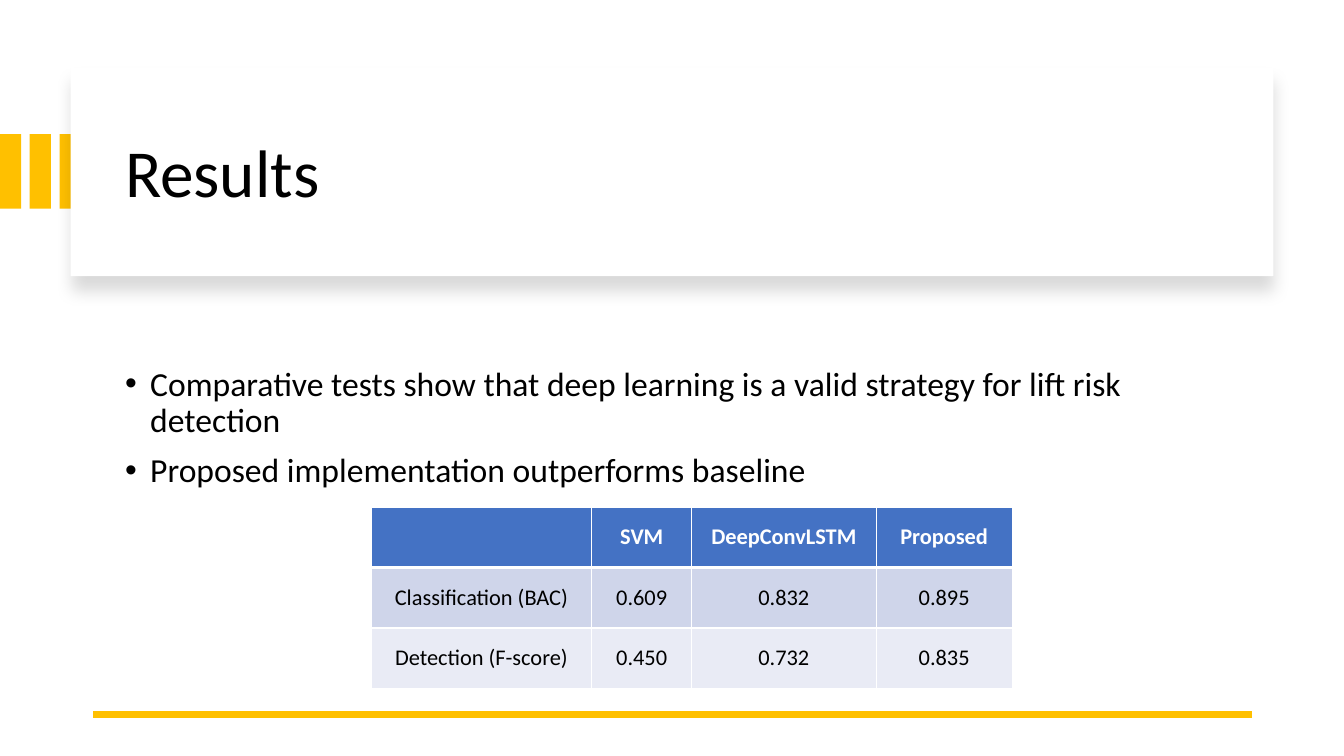
from lxml.etree import SubElement
from pptx import Presentation
from pptx.dml.color import RGBColor
from pptx.enum.shapes import MSO_CONNECTOR as Connector, MSO_SHAPE as Shape
from pptx.enum.text import MSO_ANCHOR as Anchor, MSO_AUTO_SIZE as AutoSize, PP_ALIGN as Align
from pptx.oxml import parse_xml
from pptx.oxml.ns import nsdecls, qn
from pptx.util import Inches, Pt

WHITE = RGBColor(0xFF, 0xFF, 0xFF)
BLACK = RGBColor(0x00, 0x00, 0x00)
GOLD = RGBColor(0xFF, 0xC0, 0x00)
BLUE = RGBColor(0x44, 0x72, 0xC4)
ROW_FILLS = [BLUE, RGBColor(0xCF, 0xD5, 0xEA), RGBColor(0xE9, 0xEB, 0xF5)]

BULLETS = [
    "Comparative tests show that deep learning is a valid strategy for lift risk detection",
    "Proposed implementation outperforms baseline",
]
SCORES = [
    ["", "SVM", "DeepConvLSTM", "Proposed"],
    ["Classification (BAC)", "0.609", "0.832", "0.895"],
    ["Detection (F-score)", "0.450", "0.732", "0.835"],
]
COLUMN_WIDTHS = [2.19, 0.99, 1.83, 1.35]


def apply(target, values):
    """Set each attribute of target from a dict of format values."""
    for name, value in values.items():
        setattr(target, name, value)


def set_font(font, size, color=BLACK, bold=False):
    """Format a font."""
    apply(font, {"name": "Calibri", "size": Pt(size), "bold": bold})
    font.color.rgb = color


def add_box(slide, left, top, width, height, color):
    """Add a plain filled rectangle."""
    box = slide.shapes.add_shape(
        Shape.RECTANGLE, Inches(left), Inches(top), Inches(width), Inches(height))
    box.shadow.inherit = False
    box.fill.solid()
    box.fill.fore_color.rgb = color
    box.line.fill.background()
    return box


def add_stripes(slide, left, top, width, height, count=3, pitch=0.295):
    """Add the row of accent stripes."""
    for index in range(count):
        add_box(slide, left + index * pitch, top, width, height, GOLD)


def add_card(slide, left, top, width, height):
    """Add the white title card with its soft shadow."""
    card = add_box(slide, left, top, width, height, WHITE)
    effects = card._element.spPr.find(qn("a:effectLst"))
    effects.append(parse_xml(
        f'<a:outerShdw {nsdecls("a")} blurRad="{Pt(11)}" dist="{Pt(10)}" dir="5400000" '
        'algn="t" rotWithShape="0"><a:srgbClr val="000000"><a:alpha val="15000"/>'
        '</a:srgbClr></a:outerShdw>'))


def place_placeholder(slide, placeholder, left, top, width, height):
    """Position a placeholder in front of the decoration and return its text frame."""
    apply(placeholder, {"left": Inches(left), "top": Inches(top),
                        "width": Inches(width), "height": Inches(height)})
    slide.shapes._spTree.append(placeholder._element)
    frame = placeholder.text_frame
    apply(frame, {"word_wrap": True, "auto_size": AutoSize.NONE,
                  "vertical_anchor": Anchor.MIDDLE})
    return frame


def add_title(slide, left, top, width, height):
    """Fill the title placeholder."""
    frame = place_placeholder(slide, slide.shapes.title, left, top, width, height)
    frame.text = "Results"
    paragraph = frame.paragraphs[0]
    apply(paragraph, {"alignment": Align.LEFT, "line_spacing": 0.9})
    set_font(paragraph.runs[0].font, 48)


def add_bullets(slide, left, top, width, height):
    """Fill the body placeholder with the bullet list."""
    frame = place_placeholder(slide, slide.placeholders[1], left, top, width, height)
    frame.text = "\n".join(BULLETS)
    for paragraph in frame.paragraphs:
        apply(paragraph, {"line_spacing": 0.9, "space_before": Pt(10)})
        properties = paragraph._p.get_or_add_pPr()
        properties.set("marL", str(Inches(0.25)))
        properties.set("indent", str(-Inches(0.25)))
        SubElement(properties, qn("a:buFont"), typeface="Arial")
        SubElement(properties, qn("a:buChar"), char="•")
        set_font(paragraph.runs[0].font, 24)


def add_rule(slide, left, top, width):
    """Add the gold line at the foot of the slide."""
    rule = slide.shapes.add_connector(
        Connector.STRAIGHT, Inches(left + width), Inches(top), Inches(left), Inches(top))
    rule.line.color.rgb = GOLD
    rule.line.width = Pt(4.5)
    SubElement(rule._element.spPr, qn("a:effectLst"))


def set_borders(cell, top, bottom):
    """Give a cell white borders, with top and bottom widths in points."""
    properties = cell._tc.get_or_add_tcPr()
    for side, width in {"L": 1, "R": 1, "T": top, "B": bottom}.items():
        properties.append(parse_xml(
            f'<a:ln{side} {nsdecls("a")} w="{Pt(width)}"><a:solidFill>'
            f'<a:srgbClr val="{WHITE}"/></a:solidFill></a:ln{side}>'))


def add_scores(slide, left, top, width, height):
    """Add the table of scores."""
    table = slide.shapes.add_table(
        len(SCORES), len(COLUMN_WIDTHS),
        Inches(left), Inches(top), Inches(width), Inches(height)).table
    for column, column_width in zip(table.columns, COLUMN_WIDTHS):
        column.width = Inches(column_width)
    for row, texts in enumerate(SCORES):
        header = row == 0
        for column, text in enumerate(texts):
            cell = table.cell(row, column)
            set_borders(cell, 3 if row == 1 else 1, 3 if header else 1)
            cell.fill.solid()
            cell.fill.fore_color.rgb = ROW_FILLS[row]
            apply(cell, {"margin_left": Inches(0.12), "margin_right": Inches(0.12),
                         "margin_top": Inches(0.06), "margin_bottom": Inches(0.06),
                         "vertical_anchor": Anchor.MIDDLE, "text": text})
            paragraph = cell.text_frame.paragraphs[0]
            paragraph.alignment = Align.CENTER
            set_font(paragraph.font, 16, WHITE if header else BLACK, header)
            for run in paragraph.runs:
                set_font(run.font, 16, WHITE if header else BLACK, header)


def main():
    """Build and save the slide."""
    presentation = Presentation()
    apply(presentation, {"slide_width": Inches(13.33), "slide_height": Inches(7.5)})
    slide = presentation.slides.add_slide(presentation.slide_layouts[1])
    add_stripes(slide, 0, 1.33, 0.21, 0.74)
    add_card(slide, 0.7, 0.67, 11.93, 2.07)
    add_title(slide, 1.14, 0.89, 10.87, 1.7)
    add_bullets(slide, 1.14, 3.3, 10.87, 1.9)
    add_rule(slide, 0.92, 7.09, 11.5)
    add_scores(slide, 3.68, 5.03, sum(COLUMN_WIDTHS), 1.8)
    presentation.save("out.pptx")


if __name__ == "__main__":
    main()
